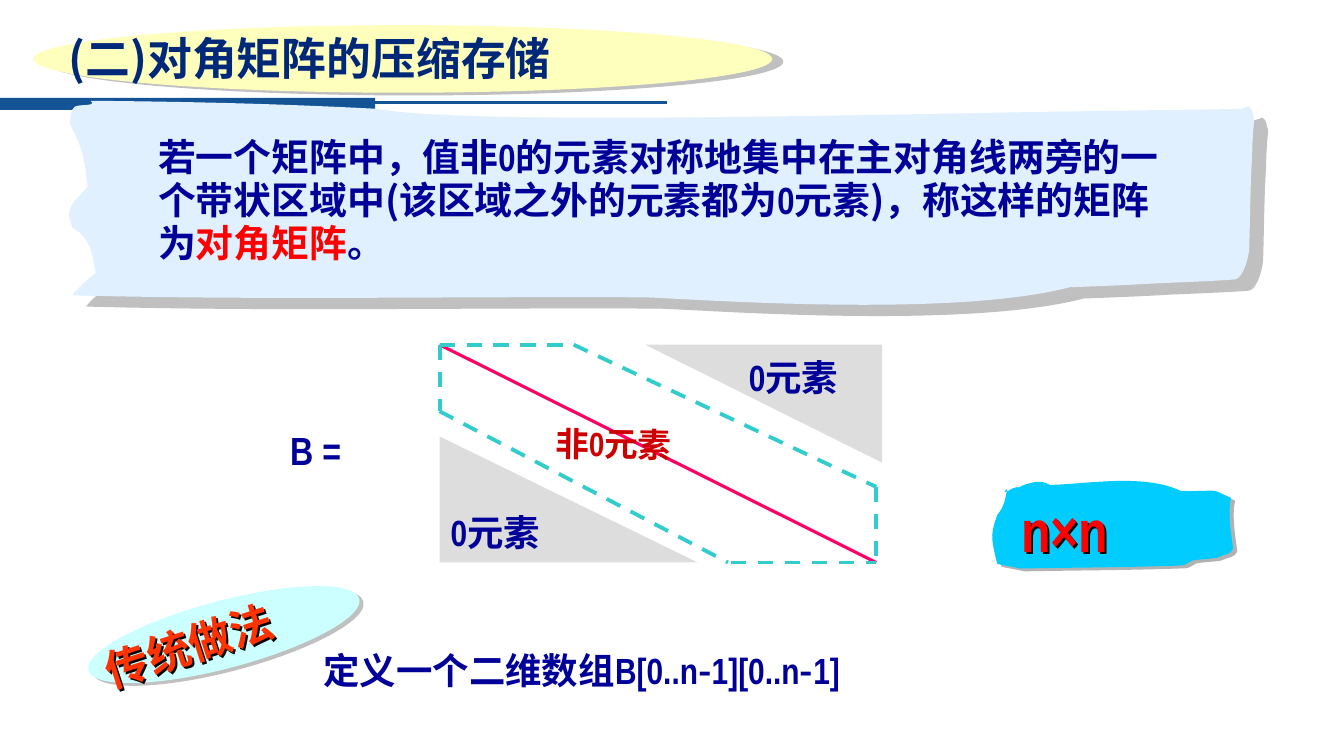
import pptx
import pptx.util
import pptx.dml.color
import pptx.enum.dml
import pptx.enum.shapes
import pptx.enum.text
import pptx.oxml
import pptx.oxml.ns

Inches = pptx.util.Inches
SHAPE = pptx.enum.shapes.MSO_SHAPE
CJK = "Noto Sans CJK SC"
NARROW = "Arial Narrow"
NAVY = "000099"
TEAL = "33CCCC"
GREY = "DDDDDD"
TEXT_SHADOW = ("000000", 2, 45)

BANNER_OUTLINE = [
    (0.24, 0),
    (1.27, 0.01), (2.11, 0.03), (3.08, 0.08),
    (4.02, 0.26), (8.95, 0.11), (10.44, 0.1),
    (10.84, 0.09), (11.25, 0.09), (11.65, 0.08),
    (11.68, 0.08), (11.71, 0.05), (11.73, 0.06),
    (11.77, 0.09), (11.76, 0.14), (11.78, 0.18),
    (11.77, 0.3), (11.76, 0.41), (11.76, 0.53),
    (11.74, 0.84), (11.74, 1.15), (11.73, 1.46),
    (11.73, 1.53), (11.68, 1.74), (11.6, 1.77),
    (11.59, 1.78), (10.85, 1.81), (10.83, 1.81),
    (10.53, 1.83), (9.95, 1.85), (9.95, 1.85),
    (8.72, 2.17), (6.03, 1.95), (5.71, 1.95),
    (3.83, 1.94), (1.94, 1.98), (0.06, 1.93),
    (0.04, 1.93), (0.24, 1.74), (0.29, 1.71),
    (0.26, 1.55), (0.25, 1.36), (0.06, 1.26),
    (0.03, 1.17), (0, 1.14), (0.06, 1.02),
    (0.08, 0.98), (0.13, 0.95), (0.16, 0.91),
    (0.18, 0.89), (0.21, 0.85), (0.21, 0.85),
    (0.19, 0.69), (0.18, 0.55), (0.11, 0.39),
    (0.04, 0.23), (0.13, 0.43), (0.06, 0.28),
    (0.05, 0.26), (0.03, 0.22), (0.03, 0.22),
    (0.05, 0.16), (0.03, 0.1), (0.08, 0.06),
    (0.12, 0.03), (0.31, 0.06), (0.24, 0),
]
BADGE_OUTLINE = [
    (0.17, 0.16),
    (0.15, 0.26), (0.14, 0.34), (0.07, 0.42),
    (0.01, 0.6), (0, 0.62), (0.07, 0.9),
    (0.07, 0.91), (0.27, 0.94), (0.3, 0.95),
    (0.83, 0.94), (1.35, 0.94), (1.89, 0.92),
    (1.94, 0.92), (1.96, 0.89), (2.01, 0.87),
    (2.06, 0.86), (2.24, 0.85), (2.26, 0.84),
    (2.34, 0.8), (2.38, 0.82), (2.41, 0.75),
    (2.4, 0.65), (2.35, 0.4), (2.39, 0.25),
    (2.15, 0.14), (2.31, 0.19), (1.89, 0.18),
    (1.52, 0), (0.91, 0.12), (0.59, 0.12),
    (0.5, 0.07), (0.44, 0.09), (0.34, 0.12),
    (0.16, 0.2), (0.38, 0.1), (0.21, 0.16),
    (0.19, 0.17), (0.18, 0.19), (0.15, 0.19),
    (0.13, 0.19), (0.16, 0.17), (0.17, 0.16),
]


def colour(value):
    return pptx.dml.color.RGBColor.from_string(value)


def element(xml):
    tag, rest = xml.split(" ", 1)
    return pptx.oxml.parse_xml(f'{tag} {pptx.oxml.ns.nsdecls("a")} {rest}')


def effects(value="", distance=0, angle=0):
    shadow = (
        f'<a:outerShdw blurRad="0" dist="{round(distance * 12700)}" dir="{angle * 60000}" '
        f'algn="ctr" rotWithShape="0"><a:srgbClr val="{value}"/></a:outerShdw>'
    ) if value else ""
    return element(f"<a:effectLst >{shadow}</a:effectLst>")


def cast(shape, shadow):
    shape.shadow.inherit = False
    if shadow:
        properties = shape._element.spPr
        properties.replace(properties.find(pptx.oxml.ns.qn("a:effectLst")), effects(*shadow))


def paint(shape, fill, shadow=None, rotation=0):
    shape.fill.solid()
    shape.fill.fore_color.rgb = colour(fill)
    shape.line.fill.background()
    shape.rotation = rotation
    cast(shape, shadow)


def preset(slide, kind, left, top, width, height, fill, shadow=None, rotation=0):
    shape = slide.shapes.add_shape(kind, *map(Inches, (left, top, width, height)))
    paint(shape, fill, shadow, rotation)


def curved(slide, left, top, outline, fill, shadow):
    points = [(Inches(x), Inches(y)) for x, y in outline]
    builder = slide.shapes.build_freeform(*points[0])
    builder.add_line_segments(points[1:], close=True)
    shape = builder.convert_to_shape(Inches(left), Inches(top))
    segments = list(shape._element.iter(pptx.oxml.ns.qn("a:lnTo")))
    for i in range(0, len(segments), 3):
        curve = element("<a:cubicBezTo />")
        segments[i].addprevious(curve)
        for segment in segments[i:i + 3]:
            curve.append(segment[0])
            segment.getparent().remove(segment)
    paint(shape, fill, shadow)


def write(frame, runs, size, spacing=None, wrap=True):
    settings = {
        "word_wrap": wrap,
        "auto_size": pptx.enum.text.MSO_AUTO_SIZE.NONE,
        "vertical_anchor": pptx.enum.text.MSO_ANCHOR.TOP,
    }
    for key, value in settings.items():
        setattr(frame, key, value)
    paragraph = frame.paragraphs[0]
    paragraph.alignment = pptx.enum.text.PP_ALIGN.LEFT
    paragraph.line_spacing = spacing
    for text, face, ink in runs:
        run = paragraph.add_run()
        run.text = text
        for key, value in {"size": pptx.util.Pt(size), "bold": True, "name": face}.items():
            setattr(run.font, key, value)
        run.font.color.rgb = colour(ink)
        latin = run._r.rPr.find(pptx.oxml.ns.qn("a:latin"))
        latin.addnext(element(f'<a:ea typeface="{CJK}"/>'))


def label(slide, left, top, width, height, runs, size, rotation=0, shadow=None, **options):
    box = slide.shapes.add_textbox(*map(Inches, (left, top, width, height)))
    box.rotation = rotation
    if shadow:
        cast(box, shadow)
    write(box.text_frame, runs, size, **options)


def line(slide, start, end, ink, weight, dashed=False):
    connector = slide.shapes.add_connector(
        pptx.enum.shapes.MSO_CONNECTOR.STRAIGHT, *map(Inches, start + end))
    connector.line.color.rgb = colour(ink)
    connector.line.width = pptx.util.Pt(weight)
    if dashed:
        connector.line.dash_style = pptx.enum.dml.MSO_LINE.DASH
    connector._element.spPr.append(effects())


def bracket(slide, kind, left, top, width, height):
    shape = slide.shapes.add_shape(kind, *map(Inches, (left, top, width, height)))
    shape.adjustments[0] = height
    shape.fill.background()
    shape.line.color.rgb = colour("FFFFFF")
    shape.line.width = pptx.util.Pt(2.75)
    cast(shape, None)


def header_rule(slide, left, top, width):
    preset(slide, SHAPE.RECTANGLE, left, top, 3.72, 0.12, "145396")
    line(slide, (left + 3.68, top + 0.05), (left + width, top + 0.05), "145396", 2.25)


def definition(slide, left, top):
    curved(slide, left, top, BANNER_OUTLINE, "E1F0FF", ("C0C0C0", 12.8, 39))
    label(slide, left + 0.81, top + 0.31, 10.32, 1.4, [
        ("若一个矩阵中，值非", CJK, NAVY),
        ("0", NARROW, NAVY),
        ("的元素对称地集中在主对角线两旁的一个带状区域中(该区域之外的元素都为", CJK, NAVY),
        ("0", NARROW, NAVY),
        ("元素)，称这样的矩阵为", CJK, NAVY),
        ("对角矩阵", CJK, "FF0000"),
        ("。", CJK, NAVY),
    ], 27, spacing=0.95)


def heading(slide, left, top):
    preset(slide, SHAPE.OVAL, left, top, 7.33, 0.67, "FFFFBD", ("C0C0C0", 8.2, 14))
    title = slide.shapes.title
    box = {"left": left + 0.25, "top": top, "width": 7.24, "height": 0.64}
    for key, value in box.items():
        setattr(title, key, Inches(value))
    write(title.text_frame, [("(二)对角矩阵的压缩存储", CJK, "002878")], 32)
    slide.shapes._spTree.append(title._element)


def band_matrix(slide, left, top, width, height):
    right, bottom = left + width, top + height
    bracket(slide, SHAPE.LEFT_BRACKET, left - 0.34, top - 0.09, 0.12, 2.33)
    bracket(slide, SHAPE.RIGHT_BRACKET, right + 0.22, top - 0.09, 0.11, 2.42)
    line(slide, (left, top), (right, bottom), "FF0066", 2.25)
    band_edges = [
        ((left + 1.33, top), (right, top + 1.41)),
        ((left, top + 0.66), (left + 2.86, bottom)),
        ((left, top), (left + 1.31, top)),
        ((left, top), (left, top + 0.66)),
        ((right, top + 1.41), (right, bottom)),
        ((left + 2.89, bottom), (right, bottom)),
    ]
    for start, end in band_edges:
        line(slide, start, end, TEAL, 2.75, dashed=True)
    zero = [("0", NARROW, NAVY), ("元素", CJK, NAVY)]
    preset(slide, SHAPE.RIGHT_TRIANGLE, left + 2.04, top, 2.35, 1.17, GREY, rotation=180)
    label(slide, left + 2.97, top + 0.05, 2.3, 0.54, zero, 26)
    preset(slide, SHAPE.RIGHT_TRIANGLE, left, bottom - 1.25, 2.56, 1.25, GREY)
    label(slide, left + 0.01, bottom - 0.57, 2, 0.54, zero, 26)
    label(slide, left - 1.58, top + 0.76, 0.71, 0.57, [("B =", NARROW, NAVY)], 28, wrap=False)
    label(slide, left + 1.05, top + 0.74, 2.33, 0.51,
          [("非0", NARROW, "CC0000"), ("元素", CJK, "CC0000")], 24, rotation=0.9)


def traditional_method(slide, left, top):
    label(slide, left + 2.28, top + 0.42, 7.78, 0.54, [
        ("定义一个二维数组", CJK, NAVY),
        ("B[0..n", NARROW, NAVY),
        ("-", CJK, NAVY),
        ("1][0..n", NARROW, NAVY),
        ("-", CJK, NAVY),
        ("1]", NARROW, NAVY),
    ], 26)
    preset(slide, SHAPE.OVAL, left, top, 2.78, 0.67, "CCFFFF", ("C0C0C0", 3.6, 34), 345.2)
    label(slide, left + 0.06, top - 0.05, 3.1, 0.62, [("传统做法", NARROW, "FF3300")], 31,
          rotation=342.1, shadow=TEXT_SHADOW)


def size_badge(slide, left, top):
    curved(slide, left, top, BADGE_OUTLINE, "00CCFF", ("B2B2B2", 3.6, 34))
    label(slide, left + 0.21, top + 0.16, 2.31, 0.81, [("n×n", NARROW, "FF0000")], 42,
          shadow=TEXT_SHADOW)


def main():
    deck = pptx.Presentation()
    deck.slide_width, deck.slide_height = Inches(13.33), Inches(7.5)
    slide = deck.slides.add_slide(deck.slide_layouts[5])
    header_rule(slide, 0, 0.97, 6.62)
    definition(slide, 0.66, 1)
    heading(slide, 0.33, 0.25)
    band_matrix(slide, 4.36, 3.42, 4.33, 2.16)
    traditional_method(slide, 0.83, 5.96)
    size_badge(slide, 9.82, 4.69)
    deck.save("out.pptx")


if __name__ == "__main__":
    main()
